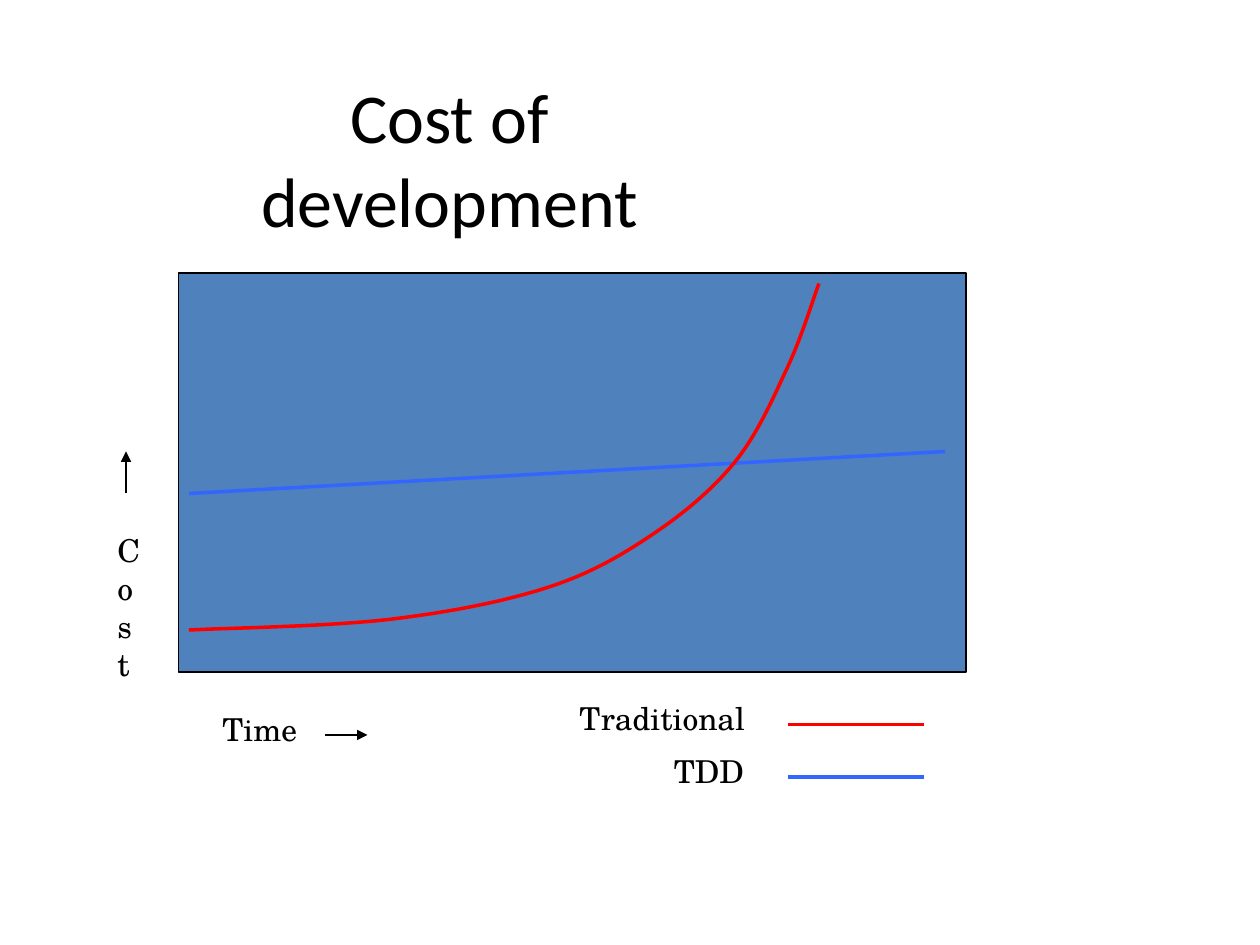
from lxml import etree
from pptx import Presentation
from pptx import util as u
from pptx.dml.color import RGBColor
from pptx.enum import shapes, text
from pptx.oxml.ns import qn

COLORS = {"ink": "000000", "plot": "4F81BD", "traditional": "FF0000", "tdd": "3366FF"}
TITLE = {"name": "Calibri", "size": u.Pt(40)}
LABEL = {"name": "TeX Gyre Schola", "size": u.Pt(18)}
COST_KNOTS = [(18, 60), (37, 59), (52, 56), (62, 51), (70, 44), (75, 35), (78, 27)]
STEPS = 12


def grid(*cells):
    """Turn grid cells, twelve to the inch, into slide lengths."""
    return [u.Inches(cell / 12) for cell in cells]


def color(key):
    """Look up a named colour."""
    return RGBColor.from_string(COLORS[key])


def style_line(line, key, width):
    """Give a line its colour and width in points."""
    line.color.rgb = color(key)
    line.width = u.Pt(width)


def add_label(slide, words, place, font, centred=False):
    """Add one wrapped paragraph of text."""
    frame = slide.shapes.add_textbox(*grid(*place)).text_frame
    frame.word_wrap = True
    paragraph = frame.paragraphs[0]
    paragraph.text = words
    if centred:
        frame.vertical_anchor = text.MSO_ANCHOR.MIDDLE
        paragraph.alignment = text.PP_ALIGN.CENTER
    for name, value in font.items():
        setattr(paragraph.font, name, value)
    paragraph.font.color.rgb = color("ink")


def add_line(slide, ends, key, width, arrow=False):
    """Add a straight line, with an arrowhead at its end if asked."""
    connector = slide.shapes.add_connector(shapes.MSO_CONNECTOR.STRAIGHT, *grid(*ends))
    style_line(connector.line, key, width)
    properties = connector.line._get_or_add_ln()
    if arrow:
        etree.SubElement(properties, qn("a:tailEnd"), type="triangle")
    etree.SubElement(properties.getparent(), qn("a:effectLst"))


def spline(knots):
    """List the points of a Catmull-Rom curve through the knots."""
    padded = [knots[0], *knots, knots[-1]]
    points = [knots[0]]
    for before, start, end, after in zip(padded, padded[1:], padded[2:], padded[3:]):
        for step in range(1, STEPS + 1):
            t = step / STEPS
            points.append(tuple(
                b + (c - a) * t / 2
                + (2 * a - 5 * b + 4 * c - d) * t ** 2 / 2
                + (3 * b - a - 3 * c + d) * t ** 3 / 2
                for a, b, c, d in zip(before, start, end, after)))
    return points


def add_curve(slide, knots, key, width):
    """Add an open smooth curve through the knots."""
    first, *rest = [grid(*point) for point in spline(knots)]
    builder = slide.shapes.build_freeform(*first, scale=1.0)
    builder.add_line_segments(rest, close=False)
    curve = builder.convert_to_shape()
    curve.shadow.inherit = False
    curve.fill.background()
    style_line(curve.line, key, width)


def add_plot_area(slide, place):
    """Add the panel behind the curves."""
    panel = slide.shapes.add_shape(shapes.MSO_SHAPE.RECTANGLE, *grid(*place))
    panel.shadow.inherit = False
    panel.fill.solid()
    panel.fill.fore_color.rgb = color("plot")
    style_line(panel.line, "ink", 0.75)


def main():
    """Build and save the slide."""
    deck = Presentation()
    deck.slide_width, deck.slide_height = grid(120, 90)
    slide = deck.slides.add_slide(deck.slide_layouts[6])

    add_label(slide, "Cost of development", (18, 7.2, 49.6, 15.6), TITLE, centred=True)
    add_plot_area(slide, (17, 26, 75, 38))
    add_line(slide, (18, 47, 90, 43), "tdd", 2)

    axes = [("Time", (20, 67, 26, 4.8), (31, 70, 35, 70)),
            ("Cost", (10, 50, 4, 15.6), (12, 47, 12, 43))]
    for name, place, arrow in axes:
        add_label(slide, name, place, LABEL)
        add_line(slide, arrow, "ink", 0.75, arrow=True)

    legend = [("Traditional", "traditional", 54, 20), ("TDD", "tdd", 63, 10)]
    for row, (name, key, left, width) in enumerate(legend):
        top = 66 + 5 * row
        add_label(slide, name, (left, top, width, 4.8), LABEL)
        add_line(slide, (75, top + 3, 88, top + 3), key, 2)

    add_curve(slide, COST_KNOTS, "traditional", 2)
    deck.save("out.pptx")


if __name__ == "__main__":
    main()
